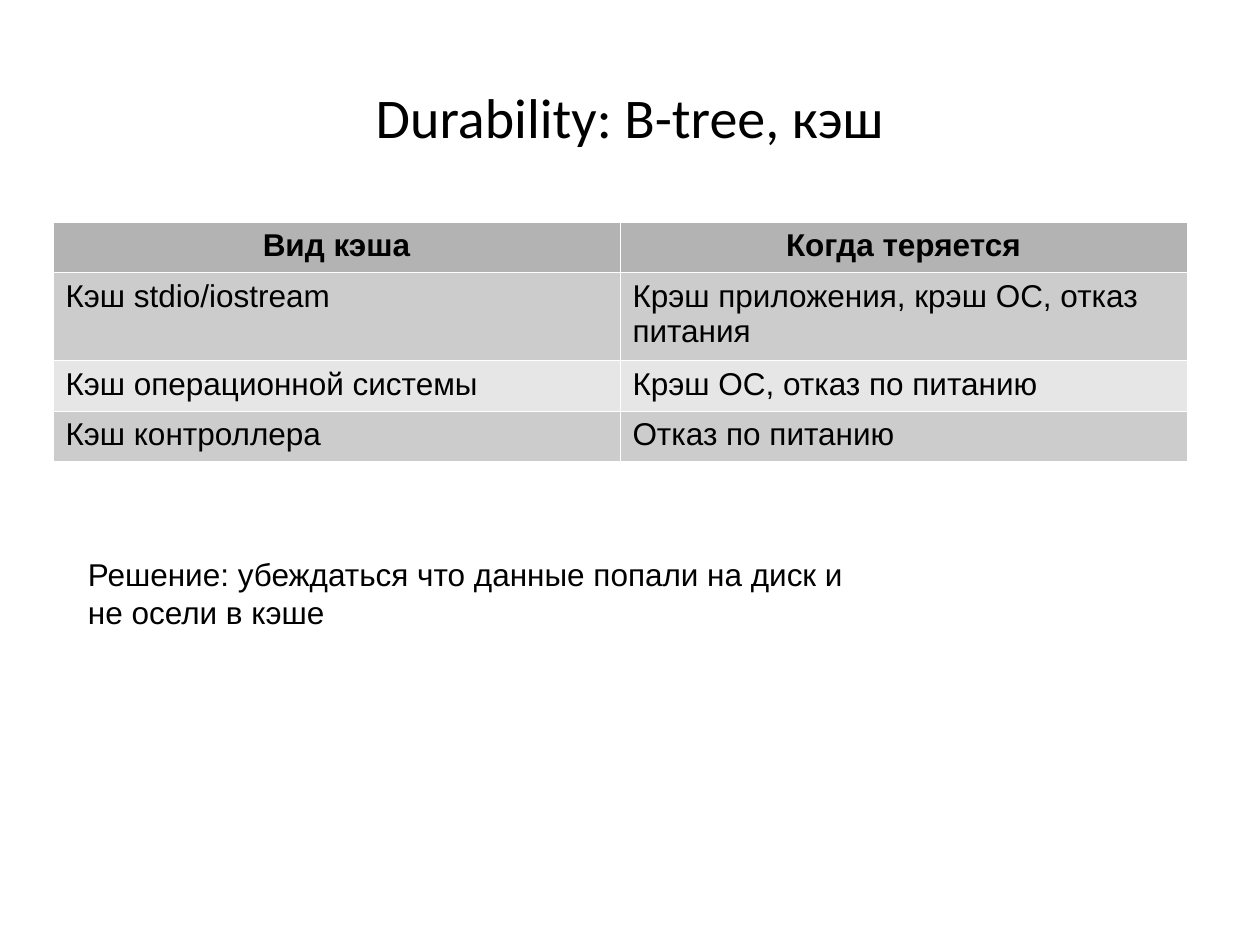
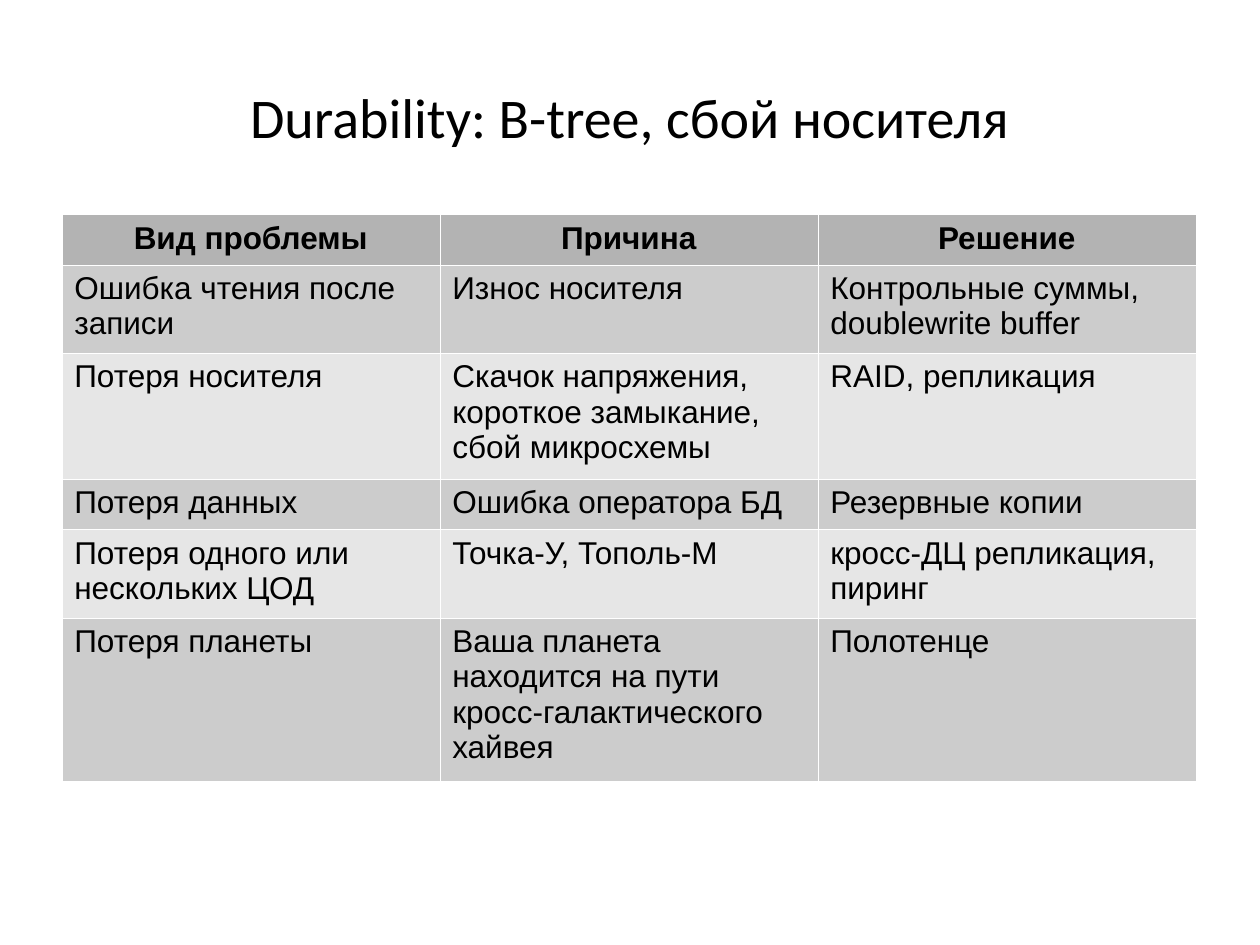
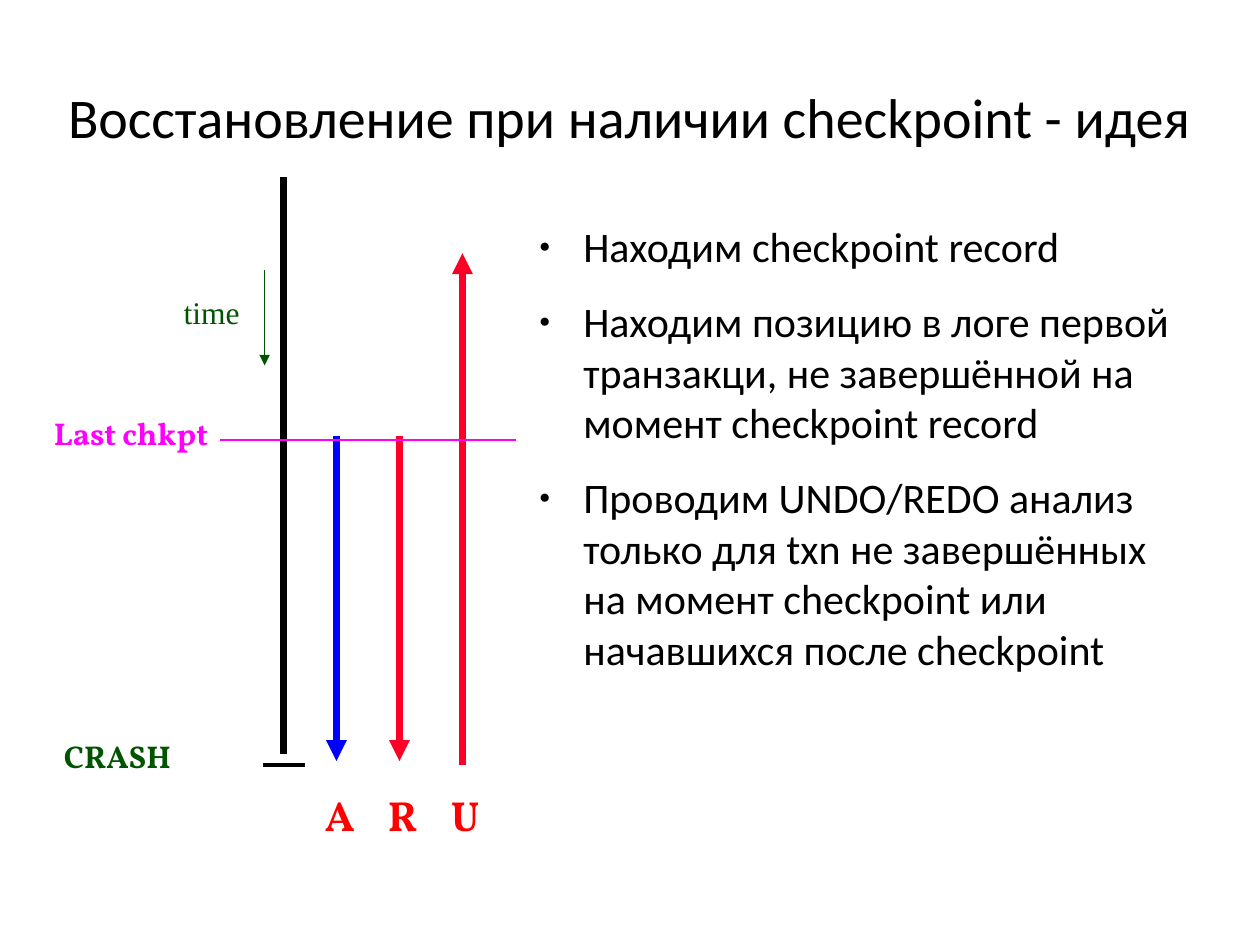
from lxml import etree
from pptx import Presentation
from pptx import util as u
from pptx.dml import color
from pptx.enum import shapes, text
from pptx.oxml import ns

BLACK, WHITE = "000000", "FFFFFF"
GREEN, MAGENTA, BLUE, RED, LABEL_RED = "005400", "FF00FF", "0000FF", "FC0128", "FF0000"
HEADER, BANDS = "B3B3B3", ("CCCCCC", "E6E6E6")
BODY, TITLE, SERIF, PLAIN = "Arial", "Calibri", "Vollkorn", "Times New Roman"


def rgb(value):
    """Turn a hex string into a colour."""
    return color.RGBColor.from_string(value)


def sub(parent, tag, **attrs):
    """Append a DrawingML element to parent."""
    return etree.SubElement(parent, ns.qn(f"a:{tag}"), {k: str(v) for k, v in attrs.items()})


def write(p, words, font=BODY, size=18, ink=BLACK, bold=False, align=None):
    """Write one formatted run into a paragraph."""
    p.alignment = align
    r = p.add_run()
    r.text = words
    r.font.name, r.font.size, r.font.bold = font, u.Pt(size), bold
    r.font.color.rgb = rgb(ink)


class Deck:
    """Hold the shared style and the current slide."""

    def __init__(self):
        """Open an empty 4:3 presentation."""
        self.prs = Presentation()
        self.prs.slide_width, self.prs.slide_height = u.Inches(10), u.Inches(7.5)
        self.s = None

    def slide(self, title):
        """Start a slide with its centred title."""
        self.s = self.prs.slides.add_slide(self.prs.slide_layouts[6])
        tf = self.box(0.5, 0.3, 9, 1.25, inset=False)
        tf.vertical_anchor = text.MSO_ANCHOR.MIDDLE
        write(tf.paragraphs[0], title, font=TITLE, size=32, align=text.PP_ALIGN.CENTER)

    def box(self, x, y, w, h, inset=True):
        """Add an empty text box and return its frame."""
        tf = self.s.shapes.add_textbox(*map(u.Inches, (x, y, w, h))).text_frame
        tf.word_wrap = True
        if not inset:
            tf.margin_left = tf.margin_right = tf.margin_top = tf.margin_bottom = 0
        return tf

    def label(self, words, x, y, w, h=0.4, **style):
        """Add a text box with one paragraph."""
        write(self.box(x, y, w, h).paragraphs[0], words, **style)

    def bullets(self, items, x, y, w, h):
        """Add a bulleted list."""
        tf = self.box(x, y, w, h, inset=False)
        for i, item in enumerate(items):
            p = tf.add_paragraph() if i else tf.paragraphs[0]
            write(p, item, font=TITLE, size=24)
            p.space_after = u.Pt(14.2)
            pPr = p._p.get_or_add_pPr()
            pPr.set("marL", str(u.Inches(0.47)))
            pPr.set("indent", str(u.Inches(-0.35)))
            sub(sub(pPr, "buClr"), "srgbClr", val=BLACK)
            sub(pPr, "buSzPct", val=45000)
            sub(pPr, "buFont", typeface=BODY)
            sub(pPr, "buChar", char="●")

    def line(self, x1, y1, x2, y2, ink=BLACK, width=4, arrow=False):
        """Add a square-capped line, with an arrowhead at its end if asked."""
        sp = self.s.shapes.add_connector(
            shapes.MSO_CONNECTOR.STRAIGHT, *map(u.Inches, (x1, y1, x2, y2)))
        sp.line.color.rgb, sp.line.width = rgb(ink), u.Pt(width)
        ln = sp.line._get_or_add_ln()
        ln.set("cap", "sq")
        if arrow:
            sub(ln, "tailEnd", type="triangle")
        sub(sp._element.spPr, "effectLst")

    def cell(self, cell, words, fill, **style):
        """Fill one table cell and give it thin white borders."""
        write(cell.text_frame.paragraphs[0], words, **style)
        tcPr = cell._tc.get_or_add_tcPr()
        for side in "LRTB":
            ln = sub(tcPr, f"ln{side}", w=u.Pt(0.06))
            sub(sub(ln, "solidFill"), "srgbClr", val=WHITE)
        cell.fill.solid()
        cell.fill.fore_color.rgb = rgb(fill)

    def table(self, x, y, w, rows, lines):
        """Add a banded table; lines gives the text lines in each row."""
        n = len(rows[0])
        heights = [0.1 + 0.3 * count for count in lines]
        table = self.s.shapes.add_table(
            len(rows), n, *map(u.Inches, (x, y, w, sum(heights)))).table
        for col in table.columns:
            col.width = u.Inches(w / n)
        for i, (row, height) in enumerate(zip(rows, heights)):
            table.rows[i].height = u.Inches(height)
            fill = BANDS[(i - 1) % 2] if i else HEADER
            style = {} if i else {"bold": True, "align": text.PP_ALIGN.CENTER}
            for j, words in enumerate(row):
                self.cell(table.cell(i, j), words, fill, **style)


def main():
    """Build the three slides."""
    d = Deck()

    d.slide("Durability: B-tree, кэш")
    d.table(0.42, 1.76, 9, [
        ("Вид кэша", "Когда теряется"),
        ("Кэш stdio/iostream", "Крэш приложения, крэш ОС, отказ питания"),
        ("Кэш операционной системы", "Крэш ОС, отказ по питанию"),
        ("Кэш контроллера", "Отказ по питанию"),
    ], lines=(1, 2, 1, 1))
    d.label("Решение: убеждаться что данные попали на диск и не осели в кэше",
            0.6, 4.36, 6.24, 0.66)

    d.slide("Durability: B-tree, сбой носителя")
    d.table(0.49, 1.7, 9, [
        ("Вид проблемы", "Причина", "Решение"),
        ("Ошибка чтения после записи", "Износ носителя",
         "Контрольные суммы, doublewrite buffer"),
        ("Потеря носителя", "Скачок напряжения, короткое замыкание, сбой микросхемы",
         "RAID, репликация"),
        ("Потеря данных", "Ошибка оператора БД", "Резервные копии"),
        ("Потеря одного или нескольких ЦОД", "Точка-У, Тополь-М",
         "кросс-ДЦ репликация, пиринг"),
        ("Потеря планеты", "Ваша планета находится на пути кросс-галактического хайвея",
         "Полотенце"),
    ], lines=(1, 2, 3, 1, 2, 4))

    d.slide("Восстановление при наличии checkpoint - идея")
    d.bullets([
        "Находим checkpoint record",
        "Находим позицию в логе первой транзакци, не завершённой на момент checkpoint record",
        "Проводим UNDO/REDO анализ только для txn не завершённых на момент checkpoint "
        "или начавшихся после checkpoint",
    ], 4.16, 1.75, 5.34, 4.95)
    checkpoint, crash = 3.49, 6.04
    d.line(2.25, 1.43, 2.25, 5.96)
    d.label("Last chkpt", 0.33, 3.24, 1.84, font=SERIF, ink=MAGENTA, bold=True)
    d.label("CRASH", 0.41, 5.8, 1.84, font=SERIF, ink=GREEN, bold=True)
    d.line(2.1, 6.07, 2.41, 6.07, width=2)
    passes = (("A", BLUE, checkpoint, crash), ("R", RED, checkpoint, crash),
              ("U", RED, crash, 2.01))
    for i, (name, ink, start, end) in enumerate(passes):
        x = 2.67 + 0.5 * i
        d.line(x, start, x, end, ink, arrow=True)
        d.label(name, x - 0.19, 6.22, 0.48, 0.5,
                font=SERIF, size=24, ink=LABEL_RED, bold=True)
    d.label("time", 1.36, 2.28, 0.7, font=PLAIN, ink=GREEN)
    d.line(2.1, 2.15, 2.1, 2.9, GREEN, 0.75, arrow=True)
    d.line(1.75, checkpoint, 4.09, checkpoint, MAGENTA, 1)

    d.prs.save("out.pptx")


if __name__ == "__main__":
    main()
